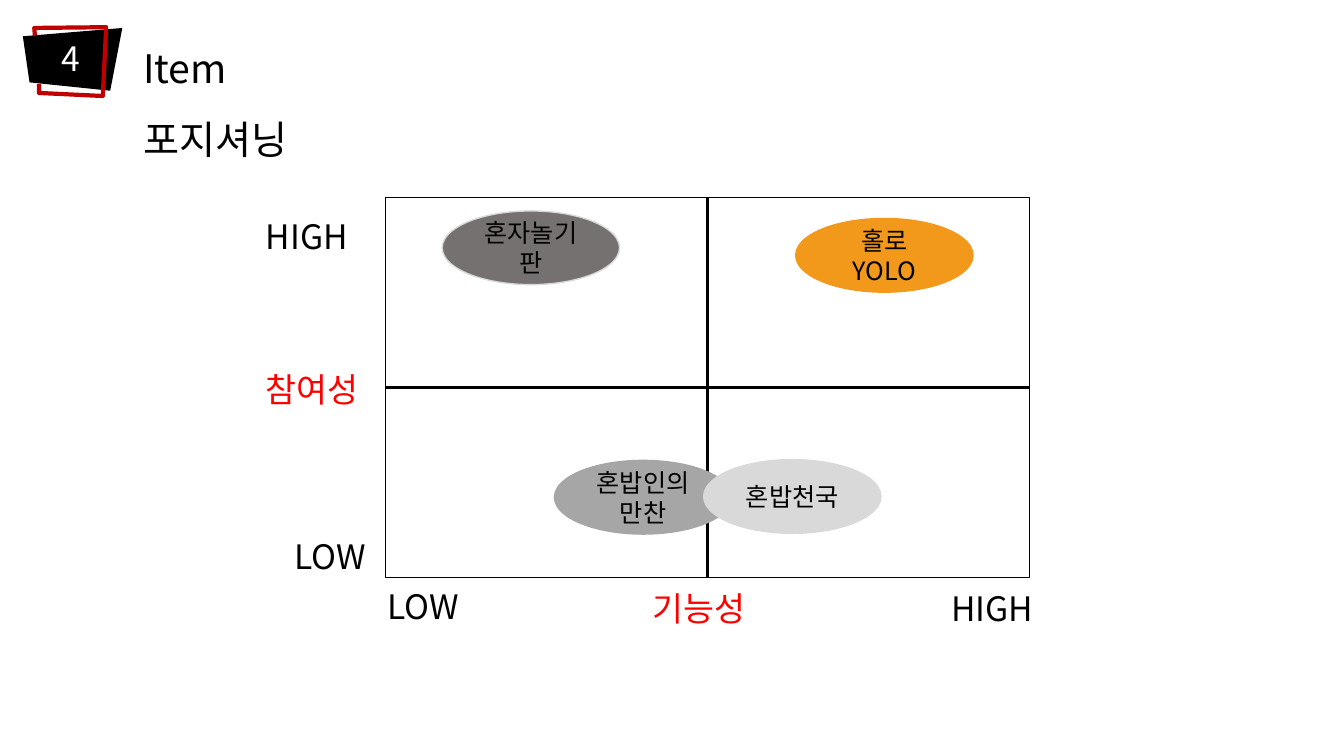
from dataclasses import dataclass

from lxml import etree
from pptx import Presentation
from pptx import util as u
from pptx.dml.color import RGBColor
from pptx.enum import shapes, text
from pptx.oxml.ns import qn


@dataclass(frozen=True)
class Theme:
    font: str = "Noto Sans CJK KR"
    head: int = 28
    label: int = 24
    item: int = 18
    thin: float = 1
    axis: float = 2.25
    bold: float = 3
    black: str = "000000"
    white: str = "FFFFFF"
    red: str = "FF0000"
    brick: str = "C00000"
    orange: str = "F2991B"
    dark: str = "767171"
    mid: str = "A6A6A6"
    light: str = "D9D9D9"


LOOK = Theme()
WIDE, HIGH = u.Inches(13.33), u.Inches(7.5)
LEFT, TOP, SPAN, RISE = 28.7, 26.1, 47.9, 50.3


def across(share):
    return u.Emu(round(WIDE * share / 100))


def down(share):
    return u.Emu(round(HIGH * share / 100))


def area(x, y, w, h):
    return across(x), down(y), across(w), down(h)


def paint(shape, fill=None, line=None, width=LOOK.thin):
    shape.shadow.inherit = False
    if fill:
        shape.fill.solid()
        shape.fill.fore_color.rgb = RGBColor.from_string(fill)
    else:
        shape.fill.background()
    if line:
        shape.line.color.rgb = RGBColor.from_string(line)
        shape.line.width = u.Pt(width)
    else:
        shape.line.fill.background()


def write(shape, words, size, color=LOOK.black, align=text.PP_ALIGN.LEFT,
          anchor=text.MSO_ANCHOR.TOP):
    frame = shape.text_frame
    frame.text = words
    frame.word_wrap = True
    frame.auto_size = text.MSO_AUTO_SIZE.NONE
    frame.vertical_anchor = anchor
    line = frame.paragraphs[0]
    line.alignment = align
    for run in line.runs:
        run.font.size = u.Pt(size)
        run.font.name = LOOK.font
        run.font.color.rgb = RGBColor.from_string(color)
        east = etree.SubElement(run.font._element, qn("a:ea"))
        east.set("typeface", LOOK.font)


def label(slide, words, x, y, w, color=LOOK.black):
    box = slide.shapes.add_textbox(*area(x, y, w, 6.7))
    write(box, words, LOOK.label, color)


def outline(group, points, closed, **style):
    spots = [(across(x), down(y)) for x, y in points]
    pen = group.shapes.build_freeform(*spots[0])
    pen.add_line_segments(spots[1:], close=closed)
    paint(pen.convert_to_shape(), **style)


def emblem(slide):
    group = slide.shapes.add_group_shape()
    outline(group, [(1.7, 4.8), (2.2, 10.9), (8.2, 12), (9.1, 3.7)],
            True, fill=LOOK.black)
    outline(group, [(2.6, 4.7), (2.55, 3.7), (7.9, 3.6), (7.65, 12.7),
                    (2.9, 12.3), (2.9, 11.1)],
            False, line=LOOK.brick, width=LOOK.bold)
    label(slide, "4", 3.8, 4.4, 3.3, LOOK.white)


def title(slide, words):
    head = slide.shapes.title
    head.left, head.top, head.width, head.height = area(9.9, 2.1, 19.6, 10.8)
    write(head, words, LOOK.head)
    head.text_frame.margin_right = across(4)
    head.text_frame.paragraphs[0].line_spacing = 1.5


def axis(slide, x, y, end, foot):
    line = slide.shapes.add_connector(
        shapes.MSO_CONNECTOR.STRAIGHT,
        across(x), down(y), across(end), down(foot))
    line.line.color.rgb = RGBColor.from_string(LOOK.black)
    line.line.width = u.Pt(LOOK.axis)
    etree.SubElement(line._element.spPr, qn("a:effectLst"))


def matrix(slide):
    box = slide.shapes.add_shape(shapes.MSO_SHAPE.RECTANGLE,
                                 *area(LEFT, TOP, SPAN, RISE))
    paint(box, LOOK.white, LOOK.black)
    midx, midy = LEFT + SPAN / 2, TOP + RISE / 2
    axis(slide, LEFT, midy, LEFT + SPAN, midy)
    axis(slide, midx, TOP, midx, TOP + RISE)


def item(slide, words, x, y, fill, line):
    oval = slide.shapes.add_shape(shapes.MSO_SHAPE.OVAL,
                                  *area(x, y, 13.2, 9.75))
    paint(oval, fill, line)
    write(oval, words, LOOK.item, align=text.PP_ALIGN.CENTER,
          anchor=text.MSO_ANCHOR.MIDDLE)


def main():
    deck = Presentation()
    deck.slide_width, deck.slide_height = WIDE, HIGH
    slide = deck.slides.add_slide(deck.slide_layouts[5])
    title(slide, "Item 포지셔닝")
    emblem(slide)
    matrix(slide)
    for words, x, y, w, color in [
        ("HIGH", 19.05, 27.9, 9.15, LOOK.black),
        ("HIGH", 70.05, 77.1, 10.05, LOOK.black),
        ("LOW", 21.15, 70.3, 7.6, LOOK.black),
        ("LOW", 28.1, 76.8, 7.6, LOOK.black),
        ("참여성", 19.05, 48.1, 9.7, LOOK.red),
        ("기능성", 47.85, 77.1, 9.7, LOOK.red),
    ]:
        label(slide, words, x, y, w, color)
    for words, x, y, fill, line in [
        ("혼밥인의 만찬", 41.25, 60.9, LOOK.mid, LOOK.mid),
        ("혼밥천국", 52.35, 60.8, LOOK.light, LOOK.light),
        ("홀로YOLO", 59.2, 28.9, LOOK.orange, LOOK.orange),
        ("혼자놀기판", 32.9, 27.9, LOOK.dark, LOOK.light),
    ]:
        item(slide, words, x, y, fill, line)
    deck.save("out.pptx")


if __name__ == "__main__":
    main()
